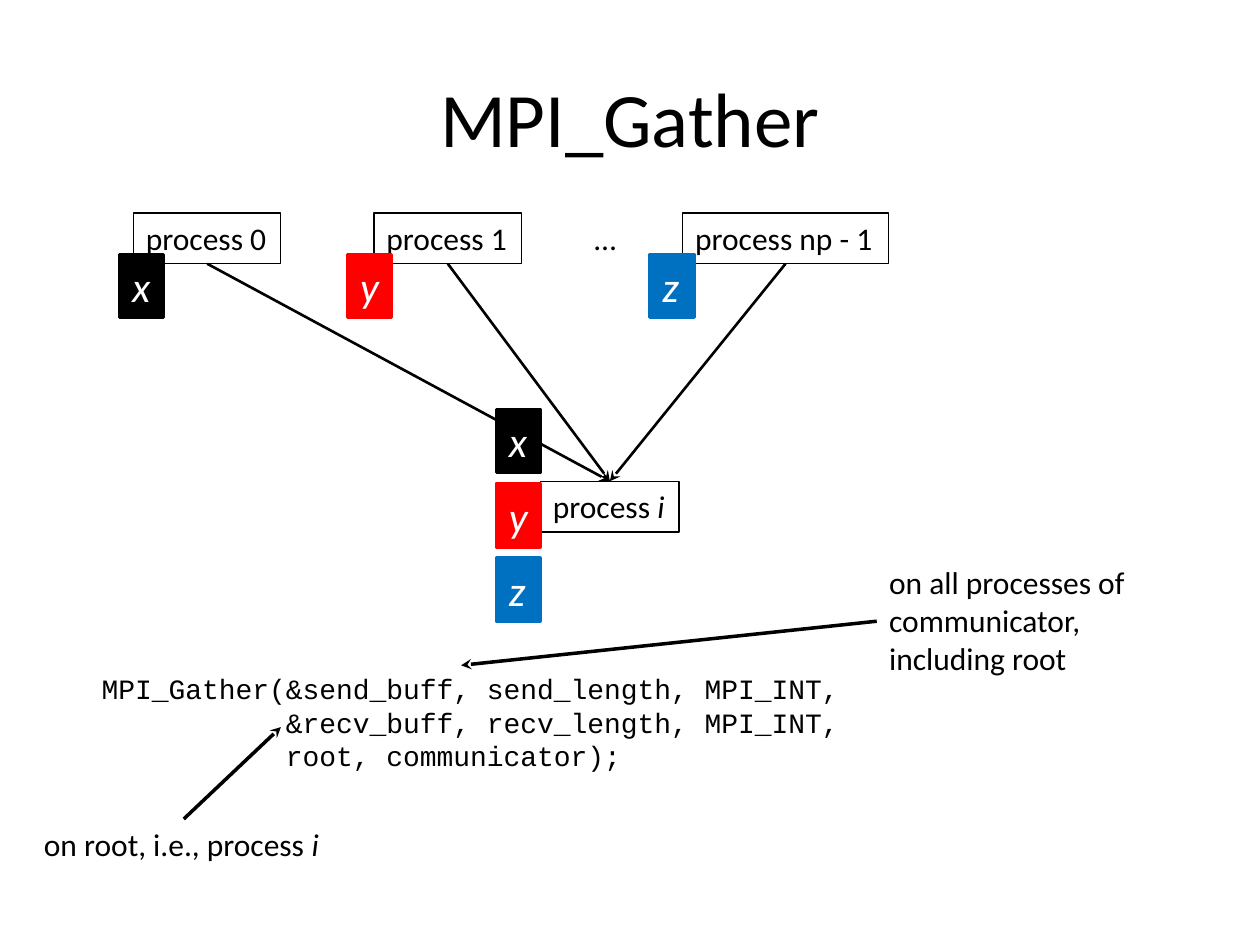
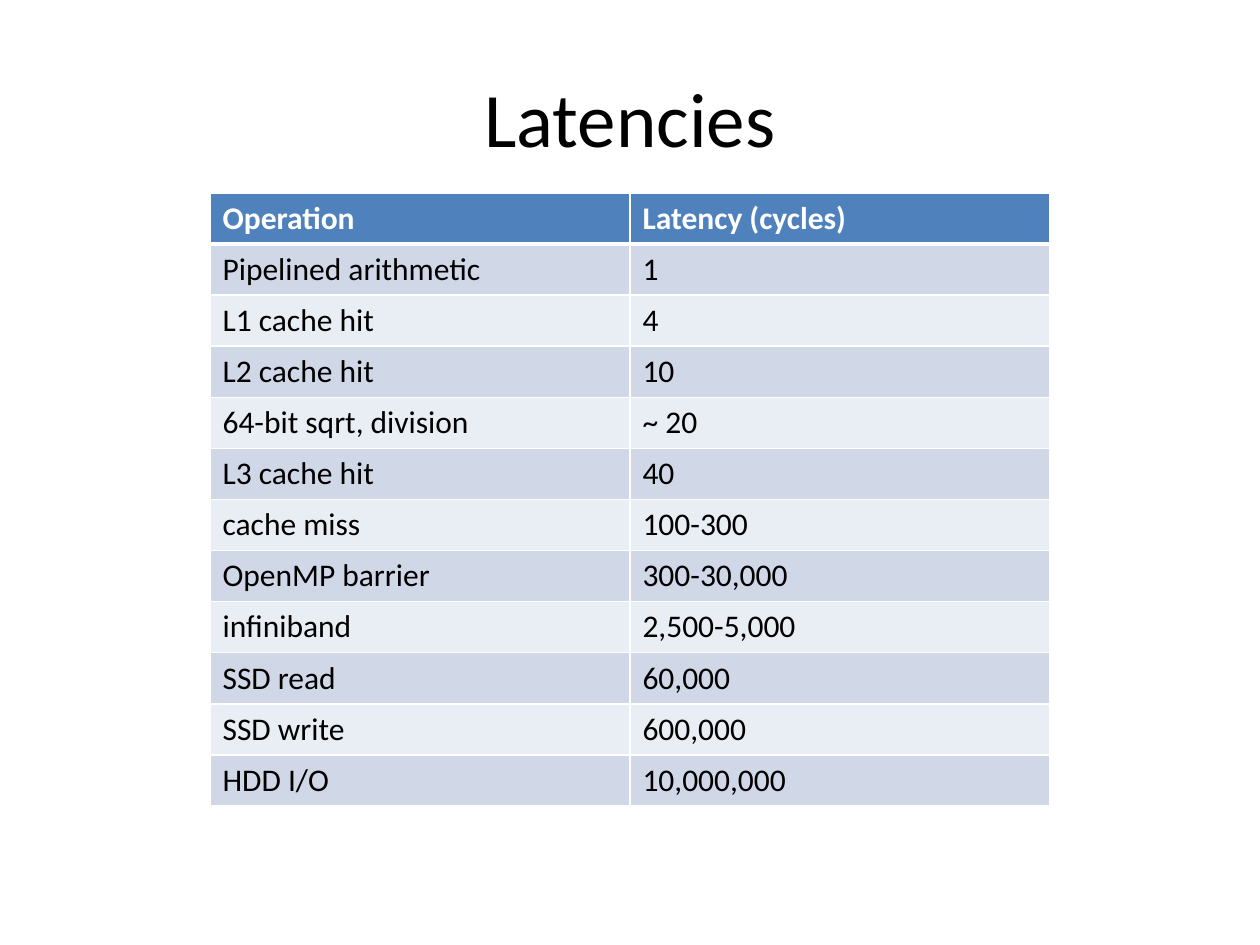
from lxml import etree
from pptx import Presentation
from pptx.dml.color import RGBColor
from pptx.enum.shapes import MSO_CONNECTOR, MSO_SHAPE
from pptx.enum.text import MSO_ANCHOR, MSO_AUTO_SIZE, PP_ALIGN
from pptx.oxml.ns import qn
from pptx.util import Pt

STRAIGHT = MSO_CONNECTOR.STRAIGHT
RECTANGLE = MSO_SHAPE.RECTANGLE
MIDDLE = MSO_ANCHOR.MIDDLE
TOP = MSO_ANCHOR.TOP
FIT_SHAPE = MSO_AUTO_SIZE.SHAPE_TO_FIT_TEXT
LEFT = PP_ALIGN.LEFT
CENTER = PP_ALIGN.CENTER

COLORS = {
    "black": "000000",
    "white": "FFFFFF",
    "red": "FF0000",
    "blue": "0070C0",
    "header": "4F81BD",
    "dark band": "D0D8E8",
    "light band": "E9EDF4",
}
BODY_FONT = "Calibri"
CODE_FONT = "Courier New"
TITLE_ONLY = 5

PROCESS_TOP = 121.7
PROCESS_HEIGHT = 29
PROCESSES = [("process 0", 76.3, 84.2), ("process 1", 213.8, 84.2), ("process np - 1", 390.2, 117.4)]
RECEIVER_LEFT, RECEIVER_TOP, RECEIVER_WIDTH = 308.9, 275, 79.2
DATA = [("x", "black", 68.4), ("y", "red", 198.7), ("z", "blue", 371.5)]
DATA_TOP = 145.4
GATHERED_LEFT, GATHERED_TOP, GATHERED_STEP = 283.7, 234, 42.5

GATHER_CALL = (
    "MPI_Gather(&send_buff, send_length, MPI_INT,\v"
    "           &recv_buff, recv_length, MPI_INT,\n"
    "           root, communicator);"
)
LATENCIES = [
    ("Operation", "Latency (cycles)"),
    ("Pipelined arithmetic", "1"),
    ("L1 cache hit", "4"),
    ("L2 cache hit", "10"),
    ("64-bit sqrt, division", "~ 20"),
    ("L3 cache hit", "40"),
    ("cache miss", "100-300"),
    ("OpenMP barrier", "300-30,000"),
    ("infiniband", "2,500-5,000"),
    ("SSD read", "60,000"),
    ("SSD write", "600,000"),
    ("HDD I/O", "10,000,000"),
]


def rgb(color):
    return RGBColor.from_string(COLORS[color])


def format_text(text_frame, size, color="black", name=BODY_FONT, align=LEFT, bold=None, italic=None):
    for paragraph in text_frame.paragraphs:
        paragraph.alignment = align
        font = paragraph.font
        font.name, font.size = name, Pt(size)
        font.bold, font.italic = bold, italic
        font.color.rgb = rgb(color)


def add_titled_slide(presentation, title):
    slide = presentation.slides.add_slide(presentation.slide_layouts[TITLE_ONLY])
    placeholder = slide.shapes.title
    placeholder.left, placeholder.top = Pt(36), Pt(21.6)
    placeholder.width, placeholder.height = Pt(648), Pt(90)
    placeholder.text_frame.text = title
    placeholder.text_frame.vertical_anchor = MIDDLE
    format_text(placeholder.text_frame, 44, align=CENTER)
    return slide


def fill_label(shape, text, variable="", wrap=False, **style):
    text_frame = shape.text_frame
    text_frame.text = text
    text_frame.word_wrap = wrap
    text_frame.auto_size = FIT_SHAPE
    text_frame.vertical_anchor = TOP
    if variable:
        run = text_frame.paragraphs[-1].add_run()
        run.text = variable
        run.font.italic = True
    format_text(text_frame, **style)


def add_label(slide, text, left, top, width, height, variable="", wrap=False, size=18, name=BODY_FONT):
    shape = slide.shapes.add_textbox(Pt(left), Pt(top), Pt(width), Pt(height))
    fill_label(shape, text, variable, wrap, size=size, name=name)


def add_rectangle(slide, left, top, width, height, line_color, line_width):
    shape = slide.shapes.add_shape(RECTANGLE, Pt(left), Pt(top), Pt(width), Pt(height))
    shape.shadow.inherit = False
    shape.line.color.rgb = rgb(line_color)
    shape.line.width = Pt(line_width)
    return shape


def add_process(slide, text, left, top, width, variable=""):
    shape = add_rectangle(slide, left, top, width, PROCESS_HEIGHT, "black", 0.75)
    shape.fill.background()
    fill_label(shape, text, variable, size=18)


def add_data(slide, name, color, left, top):
    shape = add_rectangle(slide, left, top, 25, 36, color, 2)
    shape.fill.solid()
    shape.fill.fore_color.rgb = rgb(color)
    fill_label(shape, name, size=24, color="white", italic=True)


def add_arrow(slide, start, end, width):
    connector = slide.shapes.add_connector(STRAIGHT, *map(Pt, start + end))
    connector.line.color.rgb = rgb("black")
    connector.line.width = Pt(width)
    properties = connector._element.spPr
    etree.SubElement(properties.find(qn("a:ln")), qn("a:tailEnd"), type="stealth")
    etree.SubElement(properties, qn("a:effectLst"))


def set_borders(cell, **widths):
    properties = cell._tc.get_or_add_tcPr()
    for side in "LRTB":
        width = Pt(widths.get(side, 1))
        line = etree.SubElement(properties, qn("a:ln" + side), w=str(width))
        fill = etree.SubElement(line, qn("a:solidFill"))
        etree.SubElement(fill, qn("a:srgbClr"), val=COLORS["white"])


def add_latency_table(slide):
    row_height = 29.2
    frame = slide.shapes.add_table(
        len(LATENCIES), 2, Pt(120), Pt(110.2), Pt(480), Pt(row_height * len(LATENCIES))
    )
    table = frame.table
    for row, values in enumerate(LATENCIES):
        table.rows[row].height = Pt(row_height)
        header = row == 0
        band = "header" if header else "dark band" if row % 2 else "light band"
        for column, value in enumerate(values):
            cell = table.cell(row, column)
            cell.text = value
            set_borders(cell, B=3 if header else 1, T=3 if row == 1 else 1)
            cell.fill.solid()
            cell.fill.fore_color.rgb = rgb(band)
            format_text(cell.text_frame, 18, "white" if header else "black", bold=header)


def build_gather_slide(presentation):
    slide = add_titled_slide(presentation, "MPI_Gather")
    for text, left, width in PROCESSES:
        add_process(slide, text, left, PROCESS_TOP, width)
    add_process(slide, "process ", RECEIVER_LEFT, RECEIVER_TOP, RECEIVER_WIDTH, "i")
    add_label(slide, "…", 332.6, PROCESS_TOP, 27.4, PROCESS_HEIGHT)

    receiver = (RECEIVER_LEFT + RECEIVER_WIDTH / 2, RECEIVER_TOP)
    for _, left, width in PROCESSES:
        add_arrow(slide, (left + width / 2, PROCESS_TOP + PROCESS_HEIGHT), receiver, 1.5)
    for index, (name, color, left) in enumerate(DATA):
        add_data(slide, name, color, left, DATA_TOP)
        add_data(slide, name, color, GATHERED_LEFT, GATHERED_TOP + index * GATHERED_STEP)

    add_label(slide, GATHER_CALL, 51, 380.2, 581, 65.5, wrap=True, size=16, name=CODE_FONT)
    add_label(slide, "on all processes of\vcommunicator,\vincluding root", 501, 318.2, 150.5, 72.7)
    add_arrow(slide, (501, 355), (263.5, 380.2), 2)
    add_label(slide, "on root, i.e., process ", 18, 468, 173.5, PROCESS_HEIGHT, variable="i")
    add_arrow(slide, (105, 468), (160.5, 415.5), 2)


def build_latency_slide(presentation):
    slide = add_titled_slide(presentation, "Latencies")
    add_latency_table(slide)


def main():
    presentation = Presentation()
    presentation.slide_width, presentation.slide_height = Pt(720), Pt(540)
    build_gather_slide(presentation)
    build_latency_slide(presentation)
    presentation.save("out.pptx")


if __name__ == "__main__":
    main()
